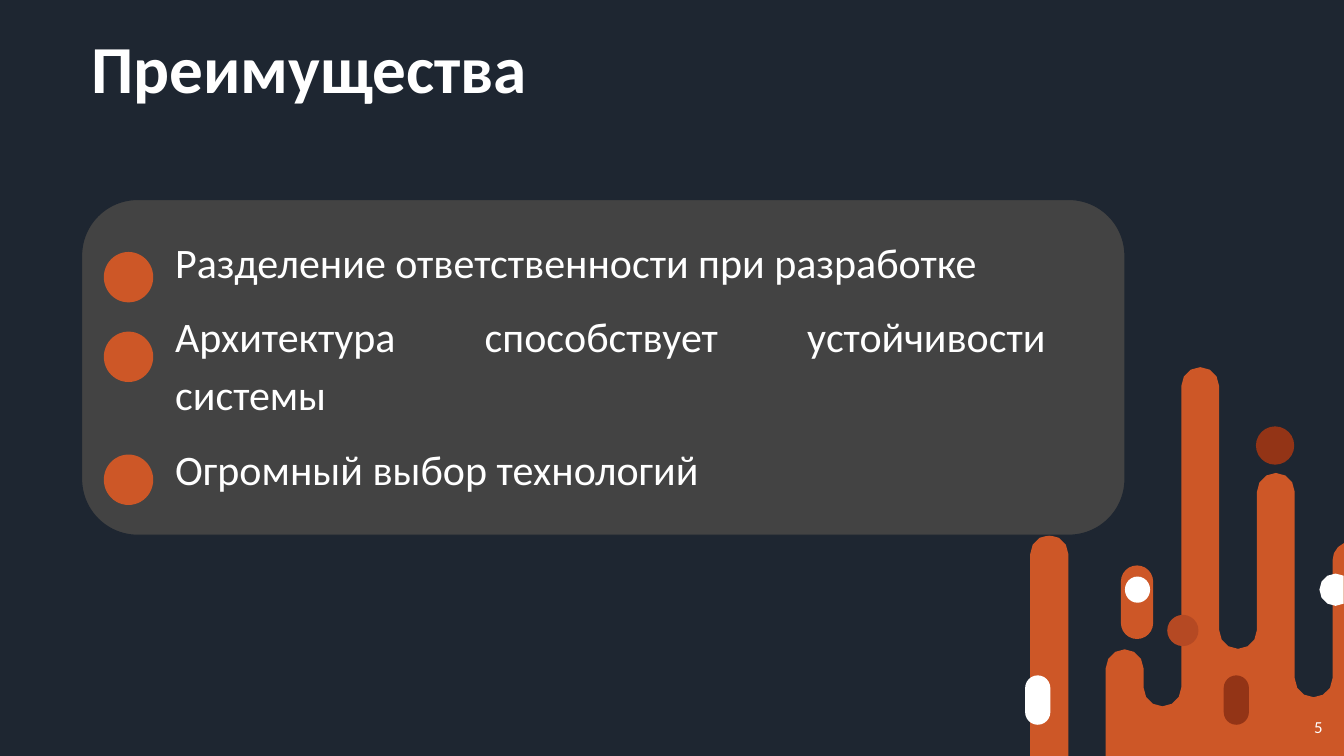
import math
from dataclasses import dataclass

import pptx
import pptx.dml.color
import pptx.enum.shapes
import pptx.enum.text
import pptx.util

Inches = pptx.util.Inches
Pt = pptx.util.Pt
SHAPE = pptx.enum.shapes.MSO_SHAPE
ALIGN = pptx.enum.text.PP_ALIGN
ANCHOR = pptx.enum.text.MSO_ANCHOR


@dataclass(frozen=True)
class Theme:
    font: str = "Calibri"
    background: str = "1E2631"
    panel: str = "434343"
    accent: str = "CD5727"
    accent_mid: str = "B54923"
    accent_dark: str = "933416"
    white: str = "FFFFFF"
    title_size: int = 48
    body_size: int = 30
    number_size: int = 12


THEME = Theme()
WIDTH, HEIGHT = 40 / 3, 7.5

ADVANTAGES = [
    "Разделение ответственности при разработке",
    "Архитектура способствует устойчивости системы",
    "Огромный выбор технологий",
]
BULLET_TOPS = [2.5, 3.29, 4.51]

# Wave of equal columns: peaks and valleys alternate, given by arc centre height
COLUMN = 0.375
RADIUS = COLUMN / 2
WAVE_LEFT = 10.97
WAVE_CENTRES = [6.63, 6.82, 3.83, 6.25, 4.88, 6.73]

# Decoration: kind, left, top, width, height, colour
DECORATIONS = [
    (SHAPE.ROUNDED_RECTANGLE, 12.46, 4.23, 0.38, 0.38, THEME.accent_dark),
    (SHAPE.ROUNDED_RECTANGLE, 11.12, 5.61, 0.32, 0.73, THEME.accent),
    (SHAPE.OVAL, 11.58, 6.1, 0.31, 0.31, THEME.accent_mid),
    (SHAPE.ROUNDED_RECTANGLE, 12.14, 6.7, 0.25, 0.49, THEME.accent_dark),
    (SHAPE.ROUNDED_RECTANGLE, 10.17, 6.7, 0.25, 0.49, THEME.white),
    (SHAPE.OVAL, 11.16, 5.72, 0.25, 0.26, THEME.white),
]


def rgb(value):
    return pptx.dml.color.RGBColor.from_string(value)


def paint(shape, colour):
    shape.shadow.inherit = False
    shape.fill.solid()
    shape.fill.fore_color.rgb = rgb(colour)
    shape.line.fill.background()


def add_shape(slide, kind, left, top, width, height, colour, corner=0.5):
    shape = slide.shapes.add_shape(
        kind, Inches(left), Inches(top), Inches(width), Inches(height))
    if kind == SHAPE.ROUNDED_RECTANGLE:
        shape.adjustments[0] = corner
    paint(shape, colour)
    return shape


def add_text(slide, left, top, width, height, lines, size, bold=False,
             align=ALIGN.LEFT, anchor=ANCHOR.MIDDLE, spacing=1.0, before=0):
    box = slide.shapes.add_textbox(
        Inches(left), Inches(top), Inches(width), Inches(height))
    frame = box.text_frame
    frame.word_wrap = True
    frame.vertical_anchor = anchor
    frame.text = "\n".join(lines)
    for paragraph in frame.paragraphs:
        paragraph.alignment = align
        paragraph.line_spacing = spacing
        paragraph.space_before = Pt(before)
        paragraph.font.name = THEME.font
        paragraph.font.size = Pt(size)
        paragraph.font.bold = bold
        paragraph.font.color.rgb = rgb(THEME.white)
    return frame


def arc(centre_x, centre_y, radius, start, end, step=30):
    """Points of an arc; degrees run clockwise from the right."""
    count = math.ceil(abs(end - start) / step)
    angles = [math.radians(start + (end - start) * i / count)
              for i in range(count + 1)]
    return [(centre_x + radius * math.cos(a), centre_y + radius * math.sin(a))
            for a in angles]


def add_outline(slide, contours, colour):
    contours = [[(Inches(x), Inches(y)) for x, y in points]
                for points in contours]
    builder = slide.shapes.build_freeform(*contours[0][0])
    builder.add_line_segments(contours[0][1:])
    for points in contours[1:]:
        builder.move_to(*points[0])
        builder.add_line_segments(points[1:])
    paint(builder.convert_to_shape(), colour)


def add_wave(slide):
    points = [(WAVE_LEFT, HEIGHT)]
    for index, centre_y in enumerate(WAVE_CENTRES):
        centre_x = WAVE_LEFT + COLUMN * (index + 0.5)
        end = 360 if index % 2 == 0 else 0
        points += arc(centre_x, centre_y, RADIUS, 180, end)
    # The last peak is cut by the slide edge
    last_x = WAVE_LEFT + COLUMN * (len(WAVE_CENTRES) + 0.5)
    cut = 360 - math.degrees(math.acos((WIDTH - last_x) / RADIUS))
    points += arc(last_x, 5.56, RADIUS, 180, cut)
    points.append((WIDTH, HEIGHT))

    column = [(10.22, HEIGHT), *arc(10.41, 5.5, 0.19, 180, 360),
              (10.6, HEIGHT)]
    add_outline(slide, [points, column], THEME.accent)


def add_decoration(slide):
    add_wave(slide)
    for decoration in DECORATIONS:
        add_shape(slide, *decoration)
    # White disc cut by the slide edge
    add_outline(slide, [arc(13.25, 5.85, 0.16, 60, 300)], THEME.white)


def add_advantages(slide):
    panel = add_shape(slide, SHAPE.ROUNDED_RECTANGLE, 0.81, 1.98, 10.35, 3.33,
                      THEME.panel, corner=0.167)
    panel.line.color.rgb = rgb(THEME.background)
    panel.line.width = Pt(0.75)
    frame = add_text(slide, 1.64, 2.22, 8.84, 0.5, ADVANTAGES,
                     THEME.body_size, align=ALIGN.JUSTIFY, anchor=ANCHOR.TOP,
                     spacing=1.15, before=12)
    frame.paragraphs[-1].space_after = Pt(12)
    for top in BULLET_TOPS:
        add_shape(slide, SHAPE.OVAL, 1.03, top, 0.49, 0.5, THEME.accent)


def main():
    presentation = pptx.Presentation()
    presentation.slide_width = Inches(WIDTH)
    presentation.slide_height = Inches(HEIGHT)
    slide = presentation.slides.add_slide(presentation.slide_layouts[6])
    slide.background.fill.solid()
    slide.background.fill.fore_color.rgb = rgb(THEME.background)

    add_decoration(slide)

    # Title and slide number
    add_text(slide, 0.81, -0.01, 11.5, 1.45, ["Преимущества"],
             THEME.title_size, bold=True, spacing=0.9)
    add_text(slide, 10.22, 7.01, 3, 0.4, ["5"], THEME.number_size,
             align=ALIGN.RIGHT)

    add_advantages(slide)
    presentation.save("out.pptx")


if __name__ == "__main__":
    main()
